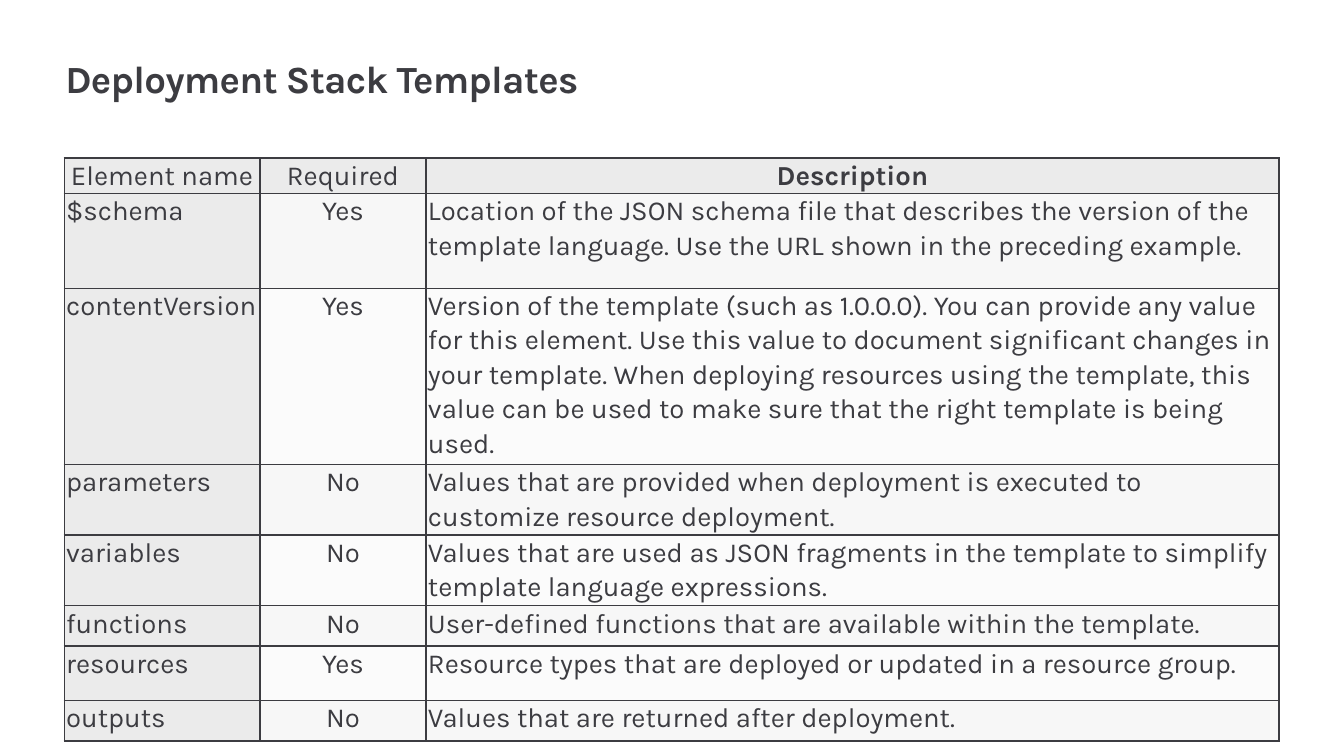
from lxml.etree import SubElement as Sub
from pptx import Presentation
from pptx.dml.color import RGBColor as RGB
from pptx.enum.text import MSO_ANCHOR as Anchor, PP_ALIGN as Align
from pptx.oxml.ns import qn
from pptx.util import Cm, Pt

TITLE = "Deployment Stack Templates"
HEAD = ("Element name", "Required", "Description")
ROWS = [
    ("$schema", "Yes", "Location of the JSON schema file that describes the version of the "
     "template language. Use the URL shown in the preceding example."),
    ("contentVersion", "Yes", "Version of the template (such as 1.0.0.0). You can provide any value "
     "for this element. Use this value to document significant changes in your template. "
     "When deploying resources using the template, this value can be used to make sure "
     "that the right template is being used."),
    ("parameters", "No", "Values that are provided when deployment is executed to "
     "customize resource deployment."),
    ("variables", "No", "Values that are used as JSON fragments in the template to simplify "
     "template language expressions."),
    ("functions", "No", "User-defined functions that are available within the template."),
    ("resources", "Yes", "Resource types that are deployed or updated in a resource group."),
    ("outputs", "No", "Values that are returned after deployment."),
]
WIDTHS = (5.03, 4.27, 21.92)
HEIGHTS = (0.86, 2.44, 3.63, 1.78, 1.78, 1.04, 1.4, 1.04)
COLORS = {"ink": "3C3C41", "head": "EBEBEB", "odd": "F7F7F7", "even": "FBFBFB"}
FONT = "Karla"


def write(frame, text, size=20, bold=False, align=Align.LEFT, lead=1.07, track=0):
    para = frame.paragraphs[0]
    para.alignment, para.line_spacing = align, lead
    run = para.add_run()
    run.text = text
    font = run.font
    font.name, font.size, font.bold = FONT, Pt(size), bold
    font.color.rgb = RGB.from_string(COLORS["ink"])
    if track:
        run._r.get_or_add_rPr().set("spc", str(track))


def border(cell):
    props = cell._tc.get_or_add_tcPr()
    for side in ("lnL", "lnR", "lnT", "lnB"):
        line = Sub(props, qn(f"a:{side}"), w=str(Pt(1)))
        fill = Sub(line, qn("a:solidFill"))
        Sub(fill, qn("a:srgbClr"), val=COLORS["ink"])


def tone(row, col):
    if row == 0 or col == 0:
        return COLORS["head"]
    return COLORS["odd" if row % 2 else "even"]


def main():
    deck = Presentation()
    deck.slide_width, deck.slide_height = Cm(34.54), Cm(19.43)
    slide = deck.slides.add_slide(deck.slide_layouts[6])

    frame = slide.shapes.add_textbox(Cm(1.68), Cm(1.3), Cm(31.22), Cm(1.57)).text_frame
    frame.word_wrap = True
    frame.vertical_anchor = Anchor.TOP
    frame.margin_left, frame.margin_right = 0, Cm(0.41)
    frame.margin_top = frame.margin_bottom = Cm(0.25)
    write(frame, TITLE, size=28, bold=True, lead=0.9, track=-50)

    data = [HEAD] + ROWS
    table = slide.shapes.add_table(
        len(data), len(HEAD), Cm(1.65), Cm(4.06), Cm(sum(WIDTHS)), Cm(sum(HEIGHTS))).table
    table.first_row = table.horz_banding = False
    for col, width in zip(table.columns, WIDTHS):
        col.width = Cm(width)
    for row, high in zip(table.rows, HEIGHTS):
        row.height = Cm(high)

    for r, texts in enumerate(data):
        for c, text in enumerate(texts):
            cell = table.cell(r, c)
            cell.margin_left = cell.margin_right = Cm(0.05)
            cell.margin_top = cell.margin_bottom = 0
            border(cell)
            cell.fill.solid()
            cell.fill.fore_color.rgb = RGB.from_string(tone(r, c))
            mid = r == 0 or c == 1
            write(cell.text_frame, text, bold=text == "Description",
                  align=Align.CENTER if mid else Align.LEFT)

    deck.save("out.pptx")


if __name__ == "__main__":
    main()
